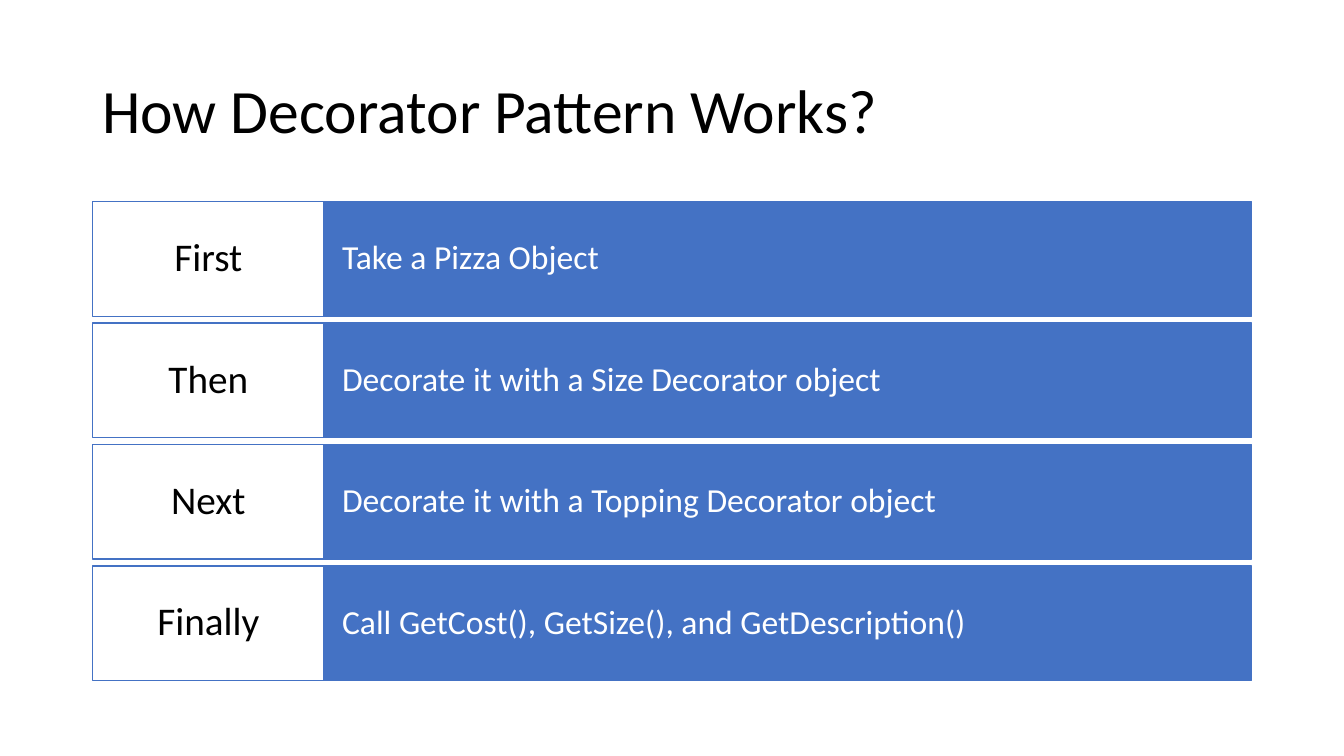
from pptx import Presentation
from pptx.dml.color import RGBColor as RGB
from pptx.enum.shapes import MSO_SHAPE as SHAPE
from pptx.enum.text import MSO_ANCHOR as ANCHOR, PP_ALIGN as ALIGN
from pptx.util import Cm, Pt

HUES = {"blue": "4472C4", "white": "FFFFFF", "black": "000000"}
STEPS = [
    ("First", "Take a Pizza Object"),
    ("Then", "Decorate it with a Size Decorator object"),
    ("Next", "Decorate it with a Topping Decorator object"),
    ("Finally", "Call GetCost(), GetSize(), and GetDescription()"),
]
LEFT, TOP, PITCH, HIGH = 2.33, 5.08, 3.06, 2.89
LABEL, BAR = 5.84, 23.37


def write(shape, text, size, hue, align, after=0):
    frame = shape.text_frame
    frame.text = text
    frame.word_wrap = True
    frame.vertical_anchor = ANCHOR.MIDDLE
    para = frame.paragraphs[0]
    para.alignment = align
    para.line_spacing = 0.9
    para.space_after = Pt(after)
    font = para.runs[0].font
    font.name = "Calibri"
    font.size = Pt(size)
    font.color.rgb = RGB.from_string(HUES[hue])


def panel(left, top, width, fill, pad_x, pad_y):
    box = slide.shapes.add_shape(SHAPE.RECTANGLE, Cm(left), Cm(top), Cm(width), Cm(HIGH))
    box.shadow.inherit = False
    box.fill.solid()
    box.fill.fore_color.rgb = RGB.from_string(HUES[fill])
    box.line.color.rgb = RGB.from_string(HUES["blue"])
    box.line.width = Pt(1)
    frame = box.text_frame
    frame.margin_left = frame.margin_right = Cm(pad_x)
    frame.margin_top = frame.margin_bottom = Cm(pad_y)
    return box


deck = Presentation()
deck.slide_width, deck.slide_height = Cm(33.87), Cm(19.05)
slide = deck.slides.add_slide(deck.slide_layouts[6])

title = slide.shapes.add_textbox(Cm(LEFT), Cm(1.01), Cm(29.21), Cm(3.68))
write(title, "How Decorator Pattern Works?", 44, "black", ALIGN.LEFT)

for row, (label, action) in enumerate(STEPS):
    top = TOP + row * PITCH
    bar = panel(LEFT + LABEL, top, BAR, "blue", 0.45, 0.73)
    write(bar, action, 24, "white", ALIGN.LEFT, 10)
    tag = panel(LEFT, top, LABEL, "white", 0.31, 0.29)
    write(tag, label, 28, "black", ALIGN.CENTER, 12)

deck.save("out.pptx")
